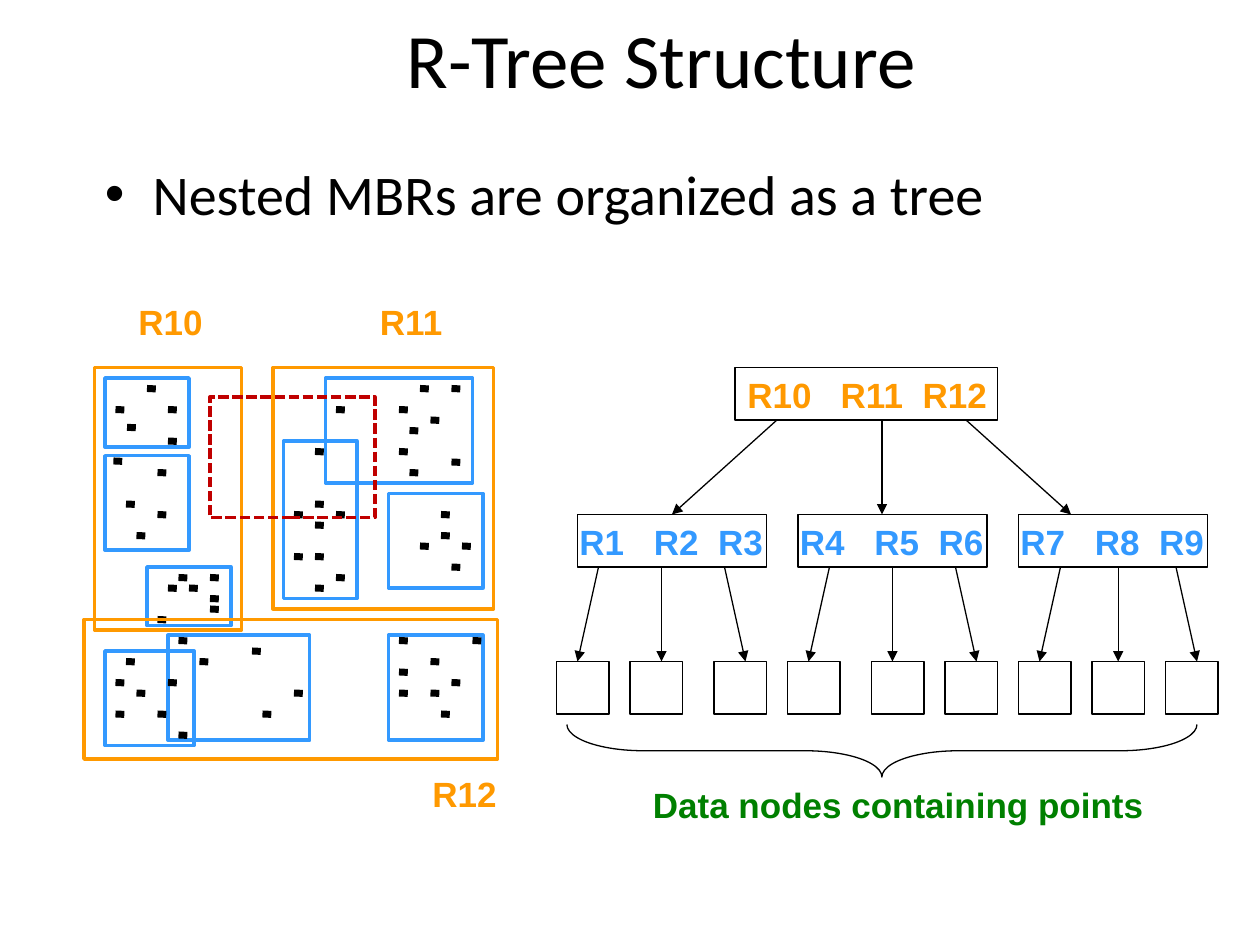
from typing import NamedTuple

from lxml.etree import SubElement
from pptx import Presentation
from pptx.dml.color import RGBColor
from pptx.enum.dml import MSO_LINE
from pptx.enum.shapes import MSO_CONNECTOR, MSO_SHAPE
from pptx.enum.text import MSO_ANCHOR, PP_ALIGN
from pptx.oxml.ns import qn
from pptx.util import Emu, Inches, Pt

BLACK = RGBColor(0x00, 0x00, 0x00)
BLUE = RGBColor(0x33, 0x99, 0xFF)
ORANGE = RGBColor(0xFF, 0x99, 0x00)
GREEN = RGBColor(0x00, 0x80, 0x00)
RED = RGBColor(0xC0, 0x00, 0x00)

LABEL = {"name": "Arial", "size": Pt(20), "bold": True}
TITLE = {"name": "Calibri", "size": Pt(44)}
BODY = {"name": "Calibri", "size": Pt(32)}


class Box(NamedTuple):
    """Columns and rows of a grid with twelve cells to the inch."""
    col: float
    row: float
    wide: float
    high: float

    @property
    def mid(self) -> float:
        return self.col + self.wide / 2


class Node(NamedTuple):
    box: Box
    arrows: tuple  # (start column, end column) for each child


LEAF_COLS = (53, 60, 68, 75, 83, 90, 97, 104, 111)
LEAVES = [Box(col, 63, 5, 5) for col in LEAF_COLS]
ROOT = Node(Box(70, 35, 25, 5), ((74, 64), (84, 84), (92, 102)))
NODES = [
    Node(Box(55, 49, 18, 5), ((57, 55), (63, 63), (69, 71))),
    Node(Box(76, 49, 18, 5), ((79, 77), (85, 85), (91, 93))),
    Node(Box(97, 49, 18, 5), ((101, 99), (106.5, 106.5), (112, 114))),
]
MBRS = [
    Box(27, 42, 7, 15), Box(31, 36, 14, 10), Box(10, 36, 8, 6.6),
    Box(10, 43.4, 8, 9), Box(10, 62, 8.5, 9), Box(16, 60.5, 13.5, 10),
    Box(14, 54, 8, 5.6), Box(37, 60.5, 9, 10), Box(37, 47, 9, 9),
]
GROUPS = [Box(26, 35, 21, 23), Box(9, 35, 14, 25), Box(8, 59, 39.4, 13.3)]
QUERY = Box(20, 37.8, 15.7, 11.5)
NAMES = {"R10": (12, 28), "R11": (35, 28), "R12": (40, 73)}

# Columns of the data points in each row
POINTS = {
    37: (14, 40, 43), 39: (11, 16, 32, 38), 40: (41,), 40.7: (12.1,),
    41: (39,), 42: (16,), 43: (30, 38), 43.9: (10.8,), 44: (43,),
    45: (15, 39), 48: (12, 30), 49: (15, 28, 32, 42), 50: (30,),
    51: (13, 42), 52: (40, 44), 53: (28, 30), 54: (43,),
    55: (17, 20, 32), 56: (16, 18, 30), 57: (20,), 58: (20,), 59: (15,),
    61: (17, 38, 45), 62: (24,), 63: (12, 19, 41), 64: (38,),
    65: (11, 16, 43), 66: (13, 28, 38, 41), 68: (11, 15, 25, 42), 70: (17,),
}

deck = Presentation()
deck.slide_width, deck.slide_height = Inches(10), Inches(7.5)
shapes = deck.slides.add_slide(deck.slide_layouts[6]).shapes


def cells(*counts: float) -> list[Emu]:
    return [Inches(count / 12) for count in counts]


def outline(box: Box, color: RGBColor = BLACK, width: float = 0.75,
            kind: MSO_SHAPE = MSO_SHAPE.RECTANGLE):
    shape = shapes.add_shape(kind, *cells(*box))
    shape.shadow.inherit = False
    shape.fill.background()
    shape.line.color.rgb = color
    shape.line.width = Pt(width)
    return shape


def stroke(start: tuple, end: tuple, width: float):
    line = shapes.add_connector(MSO_CONNECTOR.STRAIGHT, *cells(*start, *end))
    line.line.color.rgb = BLACK
    line.line.width = Pt(width)
    SubElement(line._element.spPr, qn("a:effectLst"))
    return line


def write(text: str, box: Box, style: dict, color: RGBColor = BLACK,
          tabs: tuple = (), wrap: bool = True):
    """Add a text box; tabs are stops in inches."""
    frame = shapes.add_textbox(*cells(*box)).text_frame
    frame.word_wrap = wrap
    para = frame.paragraphs[0]
    run = para.add_run()
    run.text = text
    run.font.color.rgb = color
    for key, value in style.items():
        setattr(run.font, key, value)
    if tabs:
        stops = SubElement(para._p.get_or_add_pPr(), qn("a:tabLst"))
        for stop in tabs:
            SubElement(stops, qn("a:tab"), pos=str(Inches(stop)), algn="l")
    return frame


def link(node: Node, rects: list, kids: list[Box], parent) -> None:
    """Draw arrows to the children, joined where they meet a side's middle."""
    top = node.box.row + node.box.high
    for (start, end), kid, rect in zip(node.arrows, kids, rects):
        arrow = stroke((start, top), (end, kid.row), 0.75)
        if start == node.box.mid:
            arrow.begin_connect(parent, 2)
        if end == kid.mid:
            arrow.end_connect(rect, 0)
        SubElement(arrow.line._get_or_add_ln(), qn("a:tailEnd"),
                   type="triangle")


def tree() -> None:
    root = outline(ROOT.box)
    nodes = [outline(node.box) for node in NODES]
    leaves = [outline(leaf) for leaf in LEAVES]
    link(ROOT, nodes, [node.box for node in NODES], root)
    write("R10\tR11\tR12", Box(70, 35, 26, 5.3), LABEL, ORANGE, (0.74, 1.39))
    for i, node in enumerate(NODES):
        part = slice(3 * i, 3 * i + 3)
        link(node, leaves[part], LEAVES[part], nodes[i])
        text = "\t".join(f"R{n}" for n in range(3 * i + 1, 3 * i + 4))
        write(text, Box(node.box.col - 1, 49, 21, 5.3), LABEL, BLUE,
              (0.59, 1.1))
    brace = outline(Box(81.5, 41.5, 5, 60), kind=MSO_SHAPE.LEFT_BRACE)
    brace.rotation = 270
    brace.adjustments[0] = 1.46
    write("Data nodes containing points", Box(61, 74, 53, 5.3), LABEL, GREEN)


def region() -> None:
    for box in MBRS:
        outline(box, BLUE, 2)
    for row, cols in POINTS.items():
        for col in cols:
            stroke((col, row), (col + 0.84, row + 0.04), 4)
    for box in GROUPS:
        outline(box, ORANGE, 2)
    for name, place in NAMES.items():
        write(name, Box(*place, 8.5, 5.3), LABEL, ORANGE, wrap=False)
    outline(QUERY, RED, 2).line.dash_style = MSO_LINE.SQUARE_DOT


def heading() -> None:
    title = write("R-Tree Structure", Box(10, 1.5, 106, 8), TITLE)
    title.vertical_anchor = MSO_ANCHOR.MIDDLE
    title.paragraphs[0].alignment = PP_ALIGN.CENTER
    body = write("Nested MBRs are organized as a tree",
                 Box(8.8, 14.6, 100.6, 64.3), BODY)
    props = body.paragraphs[0]._p.get_or_add_pPr()
    props.set("marL", str(Inches(0.38)))
    props.set("indent", str(Inches(-0.38)))
    SubElement(props, qn("a:buFont"), typeface="Arial")
    SubElement(props, qn("a:buChar"), char="•")


tree()
region()
heading()
deck.save("out.pptx")
